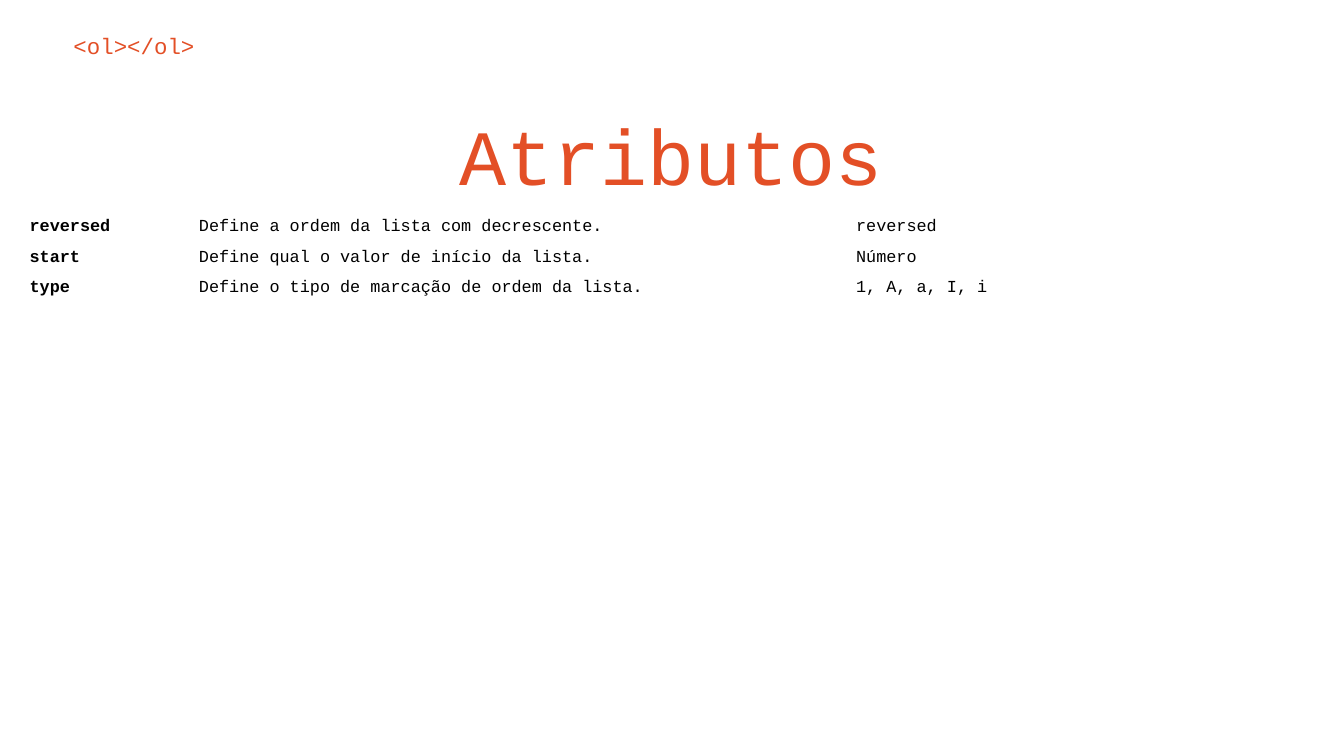
from pptx import Presentation
from pptx import util as u
from pptx.dml.color import RGBColor
from pptx.enum import text

FONT = "Courier New"
ORANGE = "E34F26"
BLACK = "000000"
WHITE = "FFFFFF"
ATTRIBUTES = [
    ("reversed", "Define a ordem da lista com decrescente.", "reversed"),
    ("start", "Define qual o valor de início da lista.", "Número"),
    ("type", "Define o tipo de marcação de ordem da lista.", "1, A, a, I, i"),
]


def color(hex_value):
    return RGBColor.from_string(hex_value)


def write(frame, content, size, hex_color=BLACK, bold=False,
          align=text.PP_ALIGN.LEFT):
    paragraph = frame.paragraphs[0]
    paragraph.alignment = align
    run = paragraph.add_run()
    run.text = content
    run.font.name = FONT
    run.font.size = u.Pt(size)
    run.font.bold = bold
    run.font.color.rgb = color(hex_color)


def add_heading(slide, box, content, size, **text_format):
    shape = slide.shapes.add_textbox(*(u.Cm(length) for length in box))
    frame = shape.text_frame
    frame.word_wrap = True
    frame.vertical_anchor = text.MSO_ANCHOR.MIDDLE
    frame.margin_left = frame.margin_right = u.Cm(0.25)
    frame.margin_top = frame.margin_bottom = u.Cm(0.25)
    write(frame, content, size, ORANGE, **text_format)


def add_attribute_table(slide, box, rows, shares):
    """Place a plain table whose columns take the given shares of the width."""
    left, top, width, height = box
    table = slide.shapes.add_table(
        len(rows), len(shares),
        u.Cm(left), u.Cm(top), u.Cm(width), u.Cm(height)).table
    table.first_row = table.horz_banding = False
    for column, share in zip(table.columns, shares):
        column.width = u.Cm(width * share / sum(shares))
    for row, contents in zip(table.rows, rows):
        row.height = u.Cm(height / len(rows))
        for index, (cell, content) in enumerate(zip(row.cells, contents)):
            cell.fill.solid()
            cell.fill.fore_color.rgb = color(WHITE)
            cell.margin_left = cell.margin_right = u.Cm(0.1)
            cell.margin_top = cell.margin_bottom = u.Cm(0.1)
            write(cell.text_frame, content, 9, bold=index == 0)


def build_attributes_slide(presentation):
    slide = presentation.slides.add_slide(presentation.slide_layouts[6])
    slide.background.fill.solid()
    slide.background.fill.fore_color.rgb = color(WHITE)
    add_heading(slide, (1.14, 0.33, 23.32, 1.07), "<ol></ol>", 12)
    add_heading(slide, (1.8, 1.83, 21.77, 2.18), "Atributos", 42,
                align=text.PP_ALIGN.CENTER)
    add_attribute_table(slide, (0.46, 4.01, 24.18, 1.53), ATTRIBUTES,
                        (1.26, 4.89, 3.37))


def main():
    presentation = Presentation()
    presentation.slide_width = u.Cm(25.4)
    presentation.slide_height = u.Cm(14.29)
    build_attributes_slide(presentation)
    presentation.save("out.pptx")


if __name__ == "__main__":
    main()
